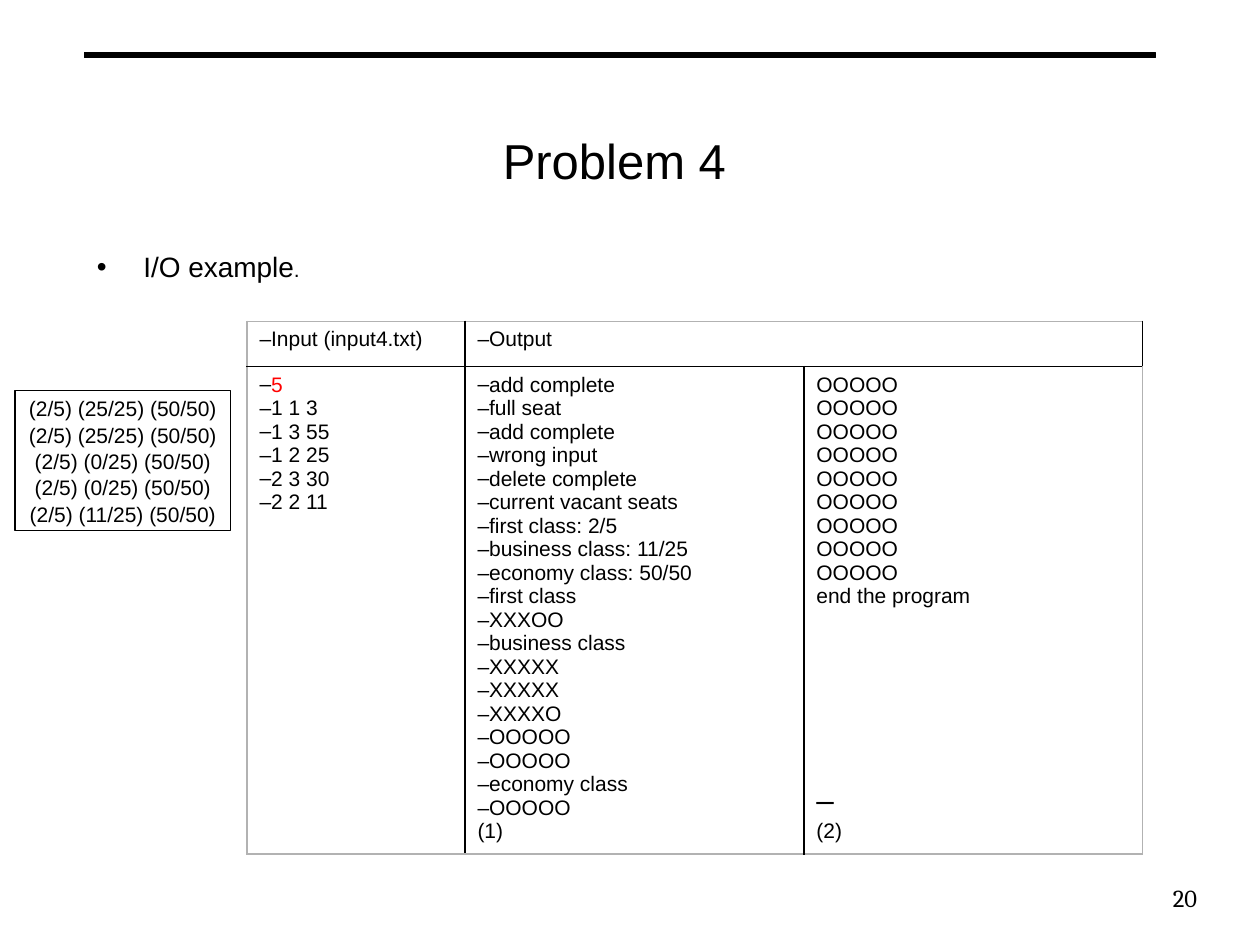
from dataclasses import dataclass

from lxml.etree import SubElement
from pptx import Presentation
from pptx.dml.color import RGBColor
from pptx.enum.shapes import MSO_SHAPE
from pptx.enum.text import MSO_ANCHOR, PP_ALIGN
from pptx.oxml.ns import qn
from pptx.util import Emu, Inches, Pt


@dataclass(frozen=True)
class Theme:
    font: str = "Arial"
    number_font: str = "Cambria"
    ink: str = "000000"
    accent: str = "FF0000"
    frame: str = "B2B2B2"
    title: int = 28
    body: int = 16
    small: int = 12
    number: int = 14
    table_line: float = 13.43


THEME = Theme()
WIDTH, HEIGHT = Inches(10), Inches(7.5)
COLUMNS, ROWS = 100, 75

INPUTS = ["5", "1 1 3", "1 3 55", "1 2 25", "2 3 30", "2 2 11"]
OUTPUTS = [
    "add complete", "full seat", "add complete", "wrong input",
    "delete complete", "current vacant seats", "first class: 2/5",
    "business class: 11/25", "economy class: 50/50", "first class", "XXXOO",
    "business class", "XXXXX", "XXXXX", "XXXXO", "OOOOO", "OOOOO",
    "economy class", "OOOOO\n(1)",
]
MORE_OUTPUTS = ["OOOOO"] * 9 + ["end the program"]
SEAT_COUNTS = [
    "(2/5) (25/25) (50/50)", "(2/5) (25/25) (50/50)", "(2/5) (0/25) (50/50)",
    "(2/5) (0/25) (50/50)", "(2/5) (11/25) (50/50)",
]


def across(columns):
    return Emu(round(WIDTH * columns / COLUMNS))


def down(rows):
    return Emu(round(HEIGHT * rows / ROWS))


def place(left, top, width, height):
    return across(left), down(top), across(width), down(height)


def add_span(para, text, size, color=THEME.ink, font=THEME.font):
    span = para.add_run()
    span.text = text
    span.font.size = Pt(size)
    span.font.name = font
    span.font.color.rgb = RGBColor.from_string(color)


def add_lines(para, text, size, color=THEME.ink):
    first, *others = text.split("\n")
    if first:
        add_span(para, first, size, color)
    for line in others:
        para.add_line_break()
        add_span(para, line, size, color)


def set_bullet(para, character, indent=0):
    properties = para._p.get_or_add_pPr()
    properties.set("marL", str(indent))
    properties.set("indent", str(-indent))
    color = SubElement(properties, qn("a:buClr"))
    SubElement(color, qn("a:srgbClr"), val=THEME.ink)
    SubElement(properties, qn("a:buFont"), typeface=THEME.font)
    SubElement(properties, qn("a:buChar"), char=character)


def next_para(frame, index):
    return frame.add_paragraph() if index else frame.paragraphs[0]


def add_text_box(page, area, align, anchor):
    frame = page.shapes.add_textbox(*place(*area)).text_frame
    frame.word_wrap = True
    frame.vertical_anchor = anchor
    para = frame.paragraphs[0]
    para.alignment = align
    return frame, para


def add_rectangle(page, area, line_width, fill=None):
    box = page.shapes.add_shape(MSO_SHAPE.RECTANGLE, *place(*area))
    box.shadow.inherit = False
    if fill:
        box.fill.solid()
        box.fill.fore_color.rgb = RGBColor.from_string(fill)
    else:
        box.fill.background()
    box.line.color.rgb = RGBColor.from_string(THEME.ink)
    box.line.width = Pt(line_width)
    return box


def add_title(page):
    _, para = add_text_box(page, (6.7, 5.3, 84.1, 10.2), PP_ALIGN.CENTER, MSO_ANCHOR.MIDDLE)
    para.line_spacing = Pt(66.1)
    add_span(para, "Problem 4", THEME.title)


def add_body(page):
    frame, para = add_text_box(page, (6.7, 15, 85.7, 49), PP_ALIGN.LEFT, MSO_ANCHOR.TOP)
    frame.margin_top = down(4.7)
    para.line_spacing = 1.05
    set_bullet(para, "•", across(3.7))
    add_span(para, "I/O example", THEME.body)
    add_span(para, ".", THEME.small)


def add_page_number(page):
    _, para = add_text_box(page, (75.3, 68.8, 20.7, 4.9), PP_ALIGN.RIGHT, MSO_ANCHOR.MIDDLE)
    add_span(para, "20", THEME.number, font=THEME.number_font)


def add_seat_box(page):
    frame = add_rectangle(page, (1.2, 31, 17.1, 11.1), 0.75).text_frame
    frame.word_wrap = True
    for index, text in enumerate(SEAT_COUNTS):
        para = next_para(frame, index)
        para.alignment = PP_ALIGN.CENTER
        para.line_spacing = 1.05
        add_span(para, text, THEME.small)


def fill_cell(cell, entries):
    for index, (text, bullet, color, gap) in enumerate(entries):
        para = next_para(cell.text_frame, index)
        para.line_spacing = Pt(THEME.table_line)
        para.space_before = Pt(gap * THEME.table_line)
        if bullet:
            set_bullet(para, bullet)
        add_lines(para, text, THEME.small, color)


def set_borders(cell, colors):
    properties = cell._tc.get_or_add_tcPr()
    for index, (side, color) in enumerate(zip(("lnL", "lnR", "lnT", "lnB"), colors)):
        line = SubElement(properties, qn(f"a:{side}"), w=str(Pt(1)))
        fill = SubElement(line, qn("a:solidFill"))
        SubElement(fill, qn("a:srgbClr"), val=color)


def dashed(texts, color=THEME.ink):
    return [(text, "–", color, 0) for text in texts]


def add_io_table(page):
    widths, heights = (17.3, 26.9, 26.9), (3.6, 38.7)
    area = place(19.6, 25.5, sum(widths), sum(heights))
    table = page.shapes.add_table(len(heights), len(widths), *area).table
    for column, width in zip(table.columns, widths):
        column.width = across(width)
    for row, height in zip(table.rows, heights):
        row.height = down(height)
    table.cell(0, 1).merge(table.cell(0, 2))
    plain = [(text, None, THEME.ink, 0) for text in MORE_OUTPUTS]
    contents = {
        (0, 0): dashed(["Input (input4.txt)"]),
        (0, 1): dashed(["Output"]),
        (1, 0): dashed(INPUTS[:1], THEME.accent) + dashed(INPUTS[1:]),
        (1, 1): dashed(OUTPUTS),
        (1, 2): plain + [("\n(2)", "–", THEME.ink, 8)],
    }
    last_row, last_column = len(heights) - 1, len(widths) - 1
    for row in range(len(heights)):
        for column in range(len(widths)):
            cell = table.cell(row, column)
            edges = (column == 0, column == last_column, row == 0, row == last_row)
            set_borders(cell, [THEME.frame if edge else THEME.ink for edge in edges])
            cell.fill.background()
            fill_cell(cell, contents.get((row, column), []))


def main():
    deck = Presentation()
    deck.slide_width, deck.slide_height = WIDTH, HEIGHT
    page = deck.slides.add_slide(deck.slide_layouts[6])
    add_rectangle(page, (6.7, 4.2, 85, 0.4), 0.51, THEME.ink)
    add_page_number(page)
    add_title(page)
    add_body(page)
    add_io_table(page)
    add_seat_box(page)
    deck.save("out.pptx")


main()
